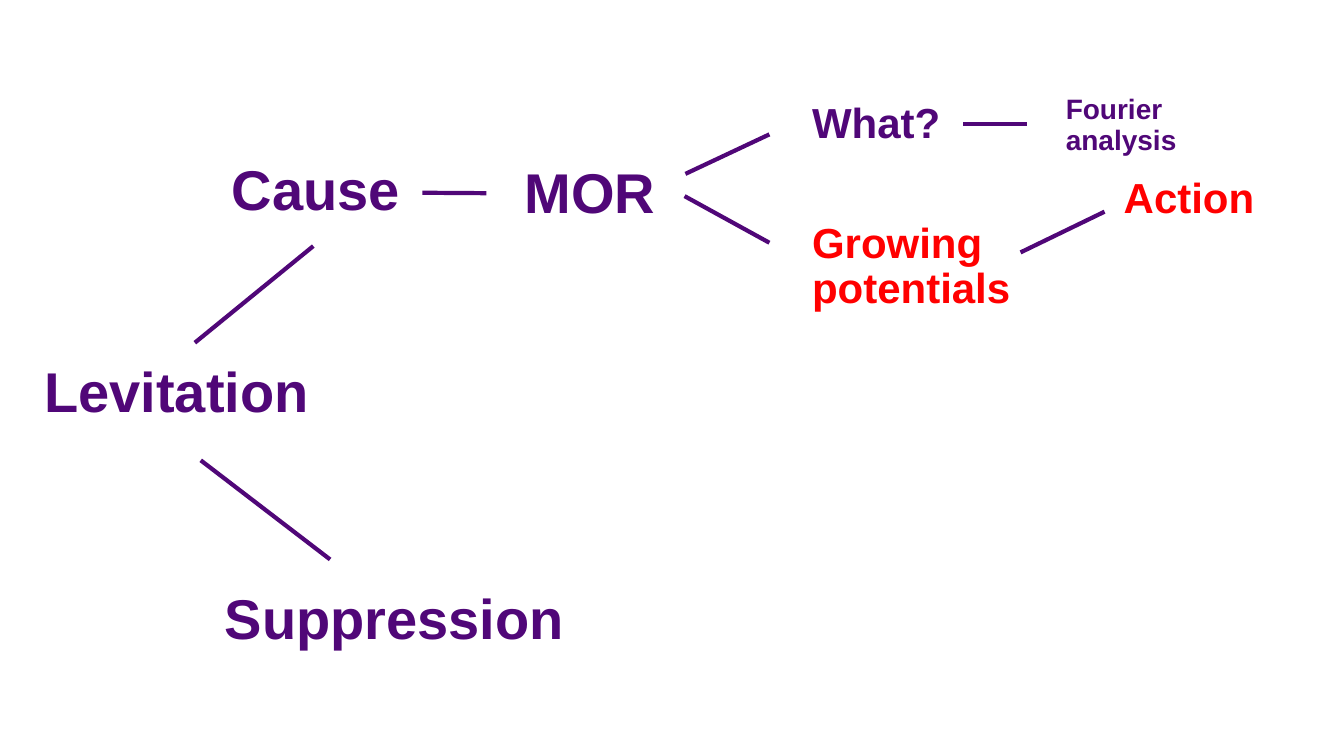
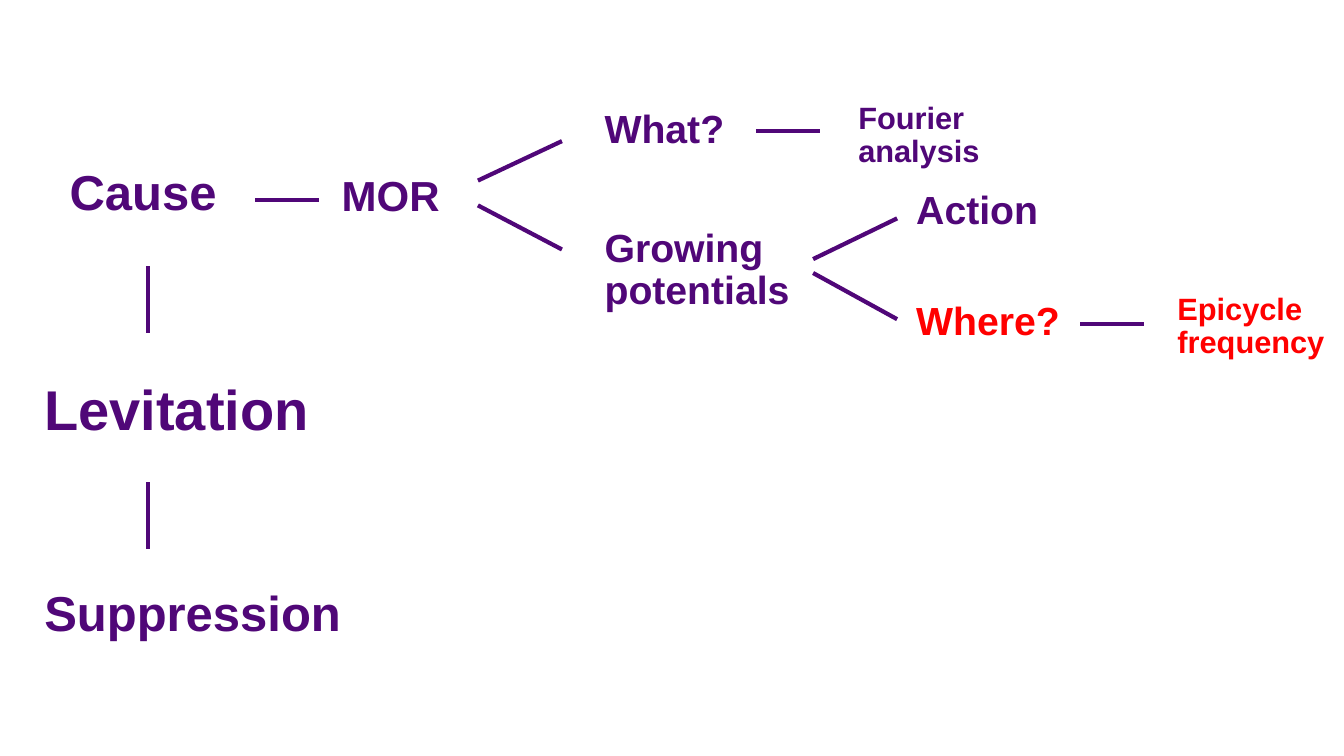
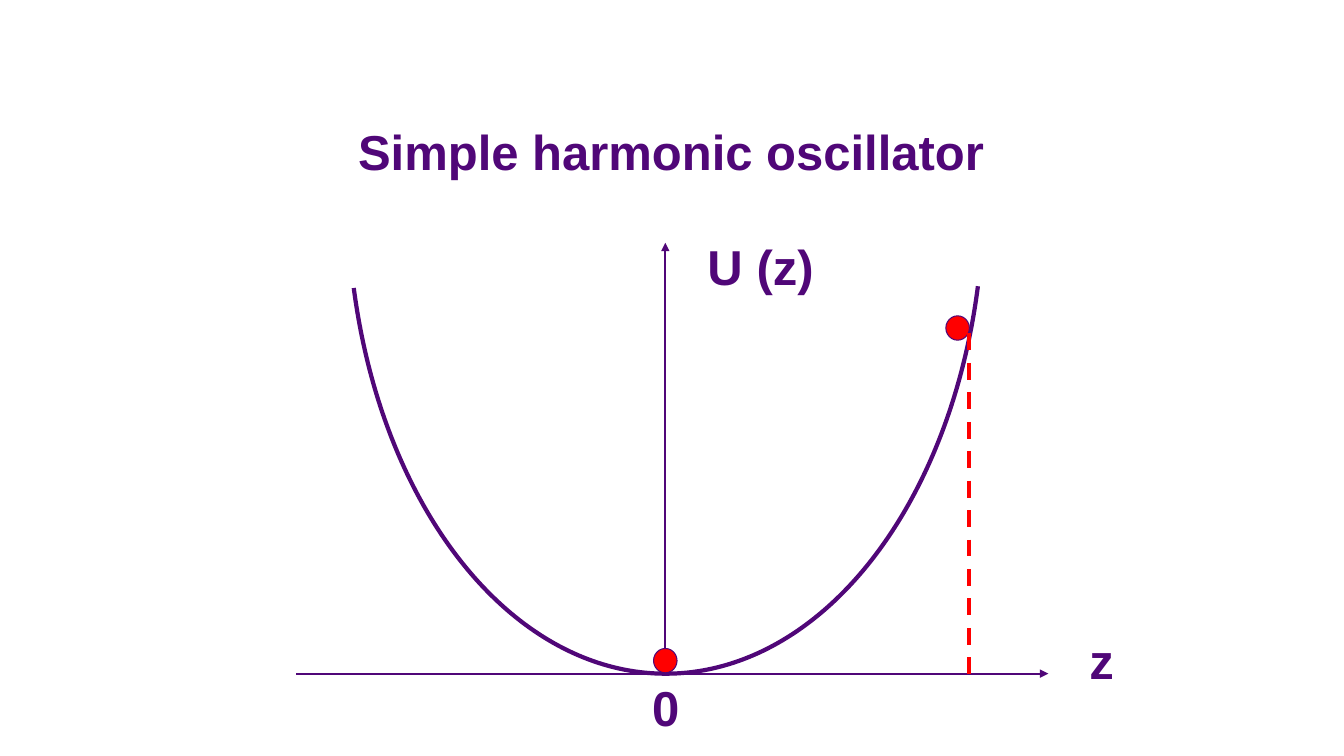
from lxml import etree
from pptx import Presentation
from pptx.dml.color import RGBColor
from pptx.enum.dml import MSO_LINE
from pptx.enum.shapes import MSO_CONNECTOR, MSO_SHAPE
from pptx.enum.text import MSO_ANCHOR, MSO_AUTO_SIZE, PP_ALIGN
from pptx.oxml.ns import qn
from pptx.util import Inches, Pt

STRAIGHT = MSO_CONNECTOR.STRAIGHT
ARC, OVAL = MSO_SHAPE.ARC, MSO_SHAPE.OVAL
DASH = MSO_LINE.DASH
TOP = MSO_ANCHOR.TOP
FIXED = MSO_AUTO_SIZE.NONE
JUST, MID = PP_ALIGN.JUSTIFY, PP_ALIGN.CENTER
COLS, ROWS = 160, 90
INK, RED = "500778", "FF0000"
RIGHT = 3
TITLED, BLANK = 5, 6


def tint(code):
    return RGBColor.from_string(code)


def cell(*counts):
    return [round(Inches(1) * count / 12) for count in counts]


def write(frame, text, size=40, color=INK, align=JUST, pad=0.1):
    frame.word_wrap = True
    frame.auto_size = FIXED
    frame.vertical_anchor = TOP
    frame.margin_left = frame.margin_top = frame.margin_bottom = Inches(pad)
    frame.margin_right = 0
    para = frame.paragraphs[0]
    para.alignment = align
    para.line_spacing = 0.9
    run = para.add_run()
    run.text = text
    font = run.font
    font.name, font.size, font.bold = "Arial", Pt(size), True
    font.color.rgb = tint(color)


class Deck:
    tall = 9.7
    dash = 7.6
    rise = 10, -4.7
    fall = 10, 5.5

    def __init__(self):
        self.show = Presentation()
        self.show.slide_width, self.show.slide_height = cell(COLS, ROWS)

    def page(self, kind=BLANK):
        self.slide = self.show.slides.add_slide(self.show.slide_layouts[kind])
        self.shapes = self.slide.shapes

    def head(self, text, x, y, wide, high):
        title = self.shapes.title
        title.left, title.top, title.width, title.height = cell(x, y, wide, high)
        write(title.text_frame, text, size=35, align=MID, pad=0)

    def word(self, text, x, y, wide, high=tall, **style):
        box = self.shapes.add_textbox(*cell(x, y, wide, high))
        write(box.text_frame, text, **style)
        return box

    def label(self, text, x, y, wide):
        self.word(text, x, y, wide, 8.6, size=35, align=MID, pad=0)

    def line(self, x, y, dx, dy=0, color=INK, width=3, dash=None, arrow=False, start=None):
        link = self.shapes.add_connector(STRAIGHT, *cell(x, y, x + dx, y + dy))
        if start is not None:
            link.begin_connect(start, RIGHT)
        link.line.color.rgb = tint(color)
        link.line.width = Pt(width)
        if dash:
            link.line.dash_style = dash
        props = link._element.spPr
        if arrow:
            etree.SubElement(props.find(qn("a:ln")), qn("a:tailEnd"), type="triangle")
        etree.SubElement(props, qn("a:effectLst"))

    def form(self, kind, x, y, wide, high, fill=None, width=3):
        item = self.shapes.add_shape(kind, *cell(x, y, wide, high))
        item.shadow.inherit = False
        if fill:
            item.fill.solid()
            item.fill.fore_color.rgb = tint(fill)
        else:
            item.fill.background()
        item.line.color.rgb = tint(INK)
        item.line.width = Pt(width)
        return item

    def bowl(self, x, y, wide, high, first, last):
        arc = self.form(ARC, x, y, wide, high)
        arc.rotation = 180
        arc.adjustments[0] = first * 0.6
        arc.adjustments[1] = last * 0.6

    def ball(self, x, y):
        self.form(OVAL, x, y, 2.8, 2.9, fill=RED, width=0.75)

    def fork(self, x, y, root, size, small, drop, color):
        self.line(x - 13.9, y + 9.7, *self.rise)
        self.line(x - 13.9, y + 12.4, *self.fall, start=root)
        self.word("What?", x, y, 19.2, size=size)
        self.line(x + 19.2, y + 3.8, self.dash)
        self.word("Fourier analysis", x + 30.2, y - 0.8, 20.2, size=small)
        grow = self.word("Growing potentials", x, y + 14.2, 26, size=size, color=color)
        self.line(x + 26, y + 18.9, *self.rise, start=grow)
        self.word("Action", x + 37.1, y + drop, 19.2, size=size, color=color)


def main():
    deck = Deck()

    deck.page()
    deck.word("Levitation", 4.1, 42.2, 35.4)
    cause = deck.word("Cause", 26.4, 18.1, 23.9)
    deck.line(50.3, 23, deck.dash, start=cause)
    root = deck.word("MOR", 61.3, 18.5, 20.2)
    deck.word("Suppression", 25.6, 69.2, 43.4)
    deck.line(23.2, 40.8, 14.1, -11.5)
    deck.line(23.9, 54.8, 15.4, 11.8)
    deck.fork(95.5, 11, root, size=30, small=20, drop=8.9, color=RED)

    deck.page()
    deck.word("Cause", 7.1, 18.8, 20.9, size=35)
    deck.line(30.4, 23.8, deck.dash)
    root = deck.word("MOR", 39.5, 19.6, 17.4, size=30)
    deck.word("Levitation", 4.1, 44.3, 35.4)
    deck.word("Suppression", 4.1, 68.9, 43.4, size=35)
    for y in (31.7, 57.4):
        deck.line(17.6, y, 0, 8)
    deck.fork(70.8, 11.8, root, size=28, small=22, drop=9.7, color=INK)
    deck.line(96.8, 32.5, *deck.fall)
    deck.word("Where?", 107.9, 34.7, 22.6, size=28, color=RED)
    deck.line(128.6, 38.6, deck.dash)
    deck.word("Epicycle frequency", 139, 33.8, 20.2, size=22, color=RED)

    deck.page(TITLED)
    deck.head("Simple harmonic oscillator", 36.7, 15.2, 86.5, 8.6)
    deck.bowl(41.4, -33.6, 75.7, 113.8, 196.16, 343.53)
    deck.line(35.3, 80.2, 89.5, width=1.5, arrow=True)
    deck.line(79.2, 80.1, 0, -51.2, width=1.5, arrow=True)
    deck.label("U (z)", 82.8, 28.9, 15.5)
    deck.label("z", 125.5, 75.8, 11.3)
    deck.label("0", 73.6, 81.4, 11.3)
    deck.ball(77.8, 77.2)
    deck.ball(112.6, 37.6)
    deck.line(115.4, 39.7, 0, 41.7, color=RED, dash=DASH)

    deck.show.save("out.pptx")


if __name__ == "__main__":
    main()
